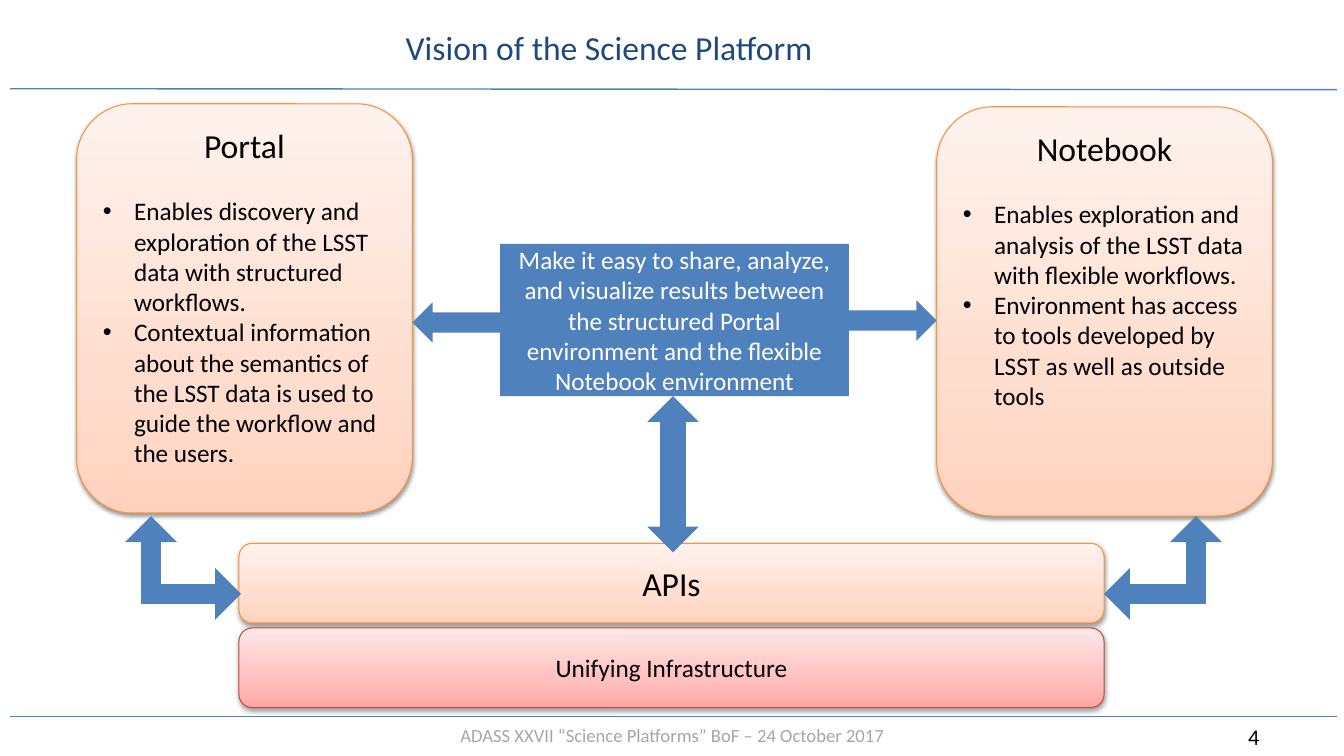
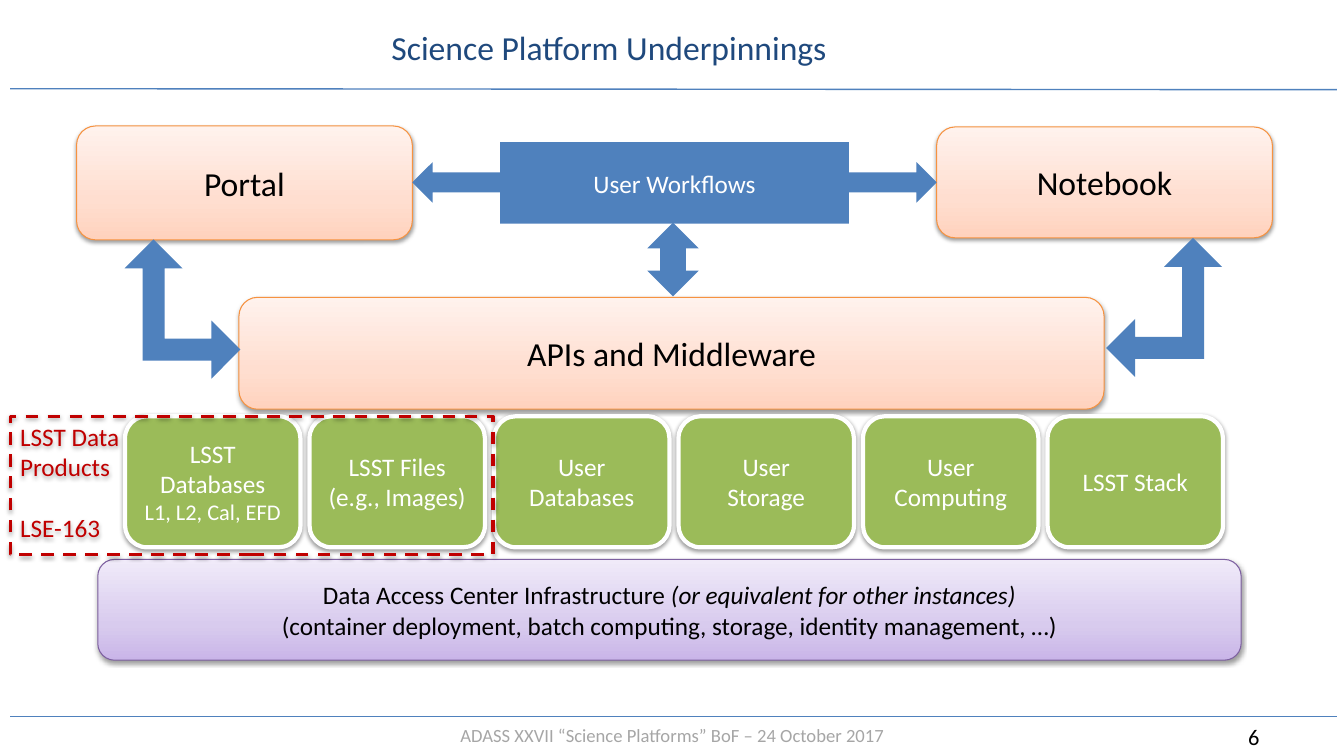
from pptx import Presentation
from pptx.dml.color import RGBColor
from pptx.enum.dml import MSO_LINE_DASH_STYLE as Dash
from pptx.enum.shapes import MSO_CONNECTOR as Connector, MSO_SHAPE as Shape
from pptx.enum.text import MSO_ANCHOR as Anchor, PP_ALIGN as Align
from pptx.oxml.ns import qn
from pptx.util import Pt
from lxml.etree import SubElement

PX = 9144
FONT = "Calibri"
COLORS = {
    "blue": "4F81BD", "navy": "1F497D", "grey": "A6A6A6",
    "black": "000000", "white": "FFFFFF", "green": "9BBB59",
    "crimson": "C00000", "orange": "F69240", "red": "BF4C48", "purple": "7D60A0",
    "orange dark": "FFD2BD", "orange mid": "FFDED0", "orange light": "FFF2ED",
    "red dark": "FFA6A5", "red mid": "FFC0BF", "red light": "FFE7E7",
    "purple dark": "C9B5E8", "purple mid": "D8CBEE", "purple light": "F0EAF9",
}
STYLES = {
    "orange": {"gradient": "orange", "line": "orange", "width": 0.75, "shadow": 38},
    "red": {"gradient": "red", "line": "red", "width": 0.75, "shadow": 38},
    "purple": {"gradient": "purple", "line": "purple", "width": 0.75, "shadow": 38},
    "green": {"fill": "green", "line": "white", "width": 3, "shadow": 38},
    "outline": {"line": "crimson", "width": 2.25, "dash": Dash.DASH, "shadow": 35},
    "blue": {"fill": "blue"},
}
HEADING = {"size": 24, "color": "black"}
BODY = {"size": 18, "color": "black"}
WHITE = {"size": 18, "color": "white"}
BULLET = {"size": 18, "color": "black", "align": Align.LEFT, "bullet": True}


def write(box, paragraphs, anchor=Anchor.MIDDLE):
    frame = box.text_frame
    frame.word_wrap = True
    frame.vertical_anchor = anchor
    for index, (text, style) in enumerate(paragraphs):
        para = frame.paragraphs[0] if index == 0 else frame.add_paragraph()
        para.alignment = style.get("align", Align.CENTER)
        para.space_before = Pt(style.get("before", 0))
        if style.get("bullet"):
            properties = para._p.get_or_add_pPr()
            properties.set("marL", str(31 * PX))
            properties.set("indent", str(-31 * PX))
            SubElement(properties, qn("a:buFont")).set("typeface", "Arial")
            SubElement(properties, qn("a:buChar")).set("char", "•")
        pieces = [(text, False)] if isinstance(text, str) else text
        for piece, italic in pieces:
            span = para.add_run()
            span.text = piece
            formats = {"name": FONT, "size": Pt(style["size"]), "italic": italic}
            for name, value in formats.items():
                setattr(span.font, name, value)
            span.font.color.rgb = RGBColor.from_string(COLORS[style["color"]])


def block(page, kind, at, look):
    style = STYLES[look]
    shape = page.shapes.add_shape(kind, *(value * PX for value in at))
    shape.shadow.inherit = False
    if "gradient" in style:
        shape.fill.gradient()
        shape.fill.gradient_angle = 90
        stops = shape._element.spPr.find(qn("a:gradFill")).find(qn("a:gsLst"))
        for stop in list(stops):
            stops.remove(stop)
        for position, tone in ((0, "dark"), (35, "mid"), (100, "light")):
            stop = SubElement(stops, qn("a:gs"), pos=str(position * 1000))
            SubElement(stop, qn("a:srgbClr"), val=COLORS[f"{style['gradient']} {tone}"])
    elif "fill" in style:
        shape.fill.solid()
        shape.fill.fore_color.rgb = RGBColor.from_string(COLORS[style["fill"]])
    else:
        shape.fill.background()
    if "line" in style:
        shape.line.color.rgb = RGBColor.from_string(COLORS[style["line"]])
        shape.line.width = Pt(style["width"])
        shape.line.dash_style = style.get("dash")
    else:
        shape.line.fill.background()
    if "shadow" in style:
        effects = shape._element.spPr.find(qn("a:effectLst"))
        shadow = SubElement(effects, qn("a:outerShdw"), blurRad="40000",
                            dist="20000", dir="5400000", rotWithShape="0")
        color = SubElement(shadow, qn("a:srgbClr"), val=COLORS["black"])
        SubElement(color, qn("a:alpha"), val=str(style["shadow"] * 1000))
    return shape


deck = Presentation()
deck.slide_width = 1333 * PX
deck.slide_height = 750 * PX

pages = []
for title, number in (("Vision of the Science Platform", "4"),
                      ("Science Platform Underpinnings", "6")):
    page = deck.slides.add_slide(deck.slide_layouts[6])
    pages.append(page)
    for start, end in ((89, 88), (711, 711)):
        rule = page.shapes.add_connector(
            Connector.STRAIGHT, 1326 * PX, start * PX, 10 * PX, end * PX)
        rule.line.color.rgb = RGBColor.from_string(COLORS["blue"])
        rule.line.width = Pt(1)
        SubElement(rule._element.spPr, qn("a:effectLst"))
    for at, text, style, anchor in (
        ((1228, 713, 83, 37), number,
         {"size": 16, "color": "black", "align": Align.LEFT}, Anchor.TOP),
        ((67, 713, 1200, 33), "ADASS XXVII “Science Platforms” BoF – 24 October 2017",
         {"size": 13.3, "color": "grey"}, Anchor.TOP),
        ((153, 16, 902, 61), title, {"size": 24, "color": "navy"}, Anchor.MIDDLE),
    ):
        box = page.shapes.add_textbox(*(value * PX for value in at))
        write(box, [(text, style)], anchor)
vision, underpinnings = pages

for at, heading, bullets in (
    ((76, 103, 333, 406), "Portal", (
        "Enables discovery and exploration of the LSST data with structured workflows.",
        "Contextual information about the semantics of the LSST data is used to "
        "guide the workflow and the users.")),
    ((929, 106, 333, 406), "Notebook", (
        "Enables exploration and analysis of the LSST data with flexible workflows.",
        "Environment has access to tools developed by LSST as well as outside tools")),
):
    card = block(vision, Shape.ROUNDED_RECTANGLE, at, "orange")
    first, second = bullets
    write(card, [(heading, HEADING), (first, {**BULLET, "before": 21.6}),
                 (second, BULLET)], Anchor.TOP)

for page, kind, at, look, text, style in (
    (vision, Shape.ROUNDED_RECTANGLE, (237, 539, 858, 79), "orange", "APIs", HEADING),
    (vision, Shape.ROUNDED_RECTANGLE, (237, 623, 858, 79), "red",
     "Unifying Infrastructure", BODY),
    (vision, Shape.RECTANGLE, (496, 242, 346, 151), "blue",
     "Make it easy to share, analyze, and visualize results between the structured "
     "Portal environment and the flexible Notebook environment", WHITE),
    (underpinnings, Shape.ROUNDED_RECTANGLE, (76, 125, 333, 113), "orange",
     "Portal", HEADING),
    (underpinnings, Shape.ROUNDED_RECTANGLE, (929, 126, 333, 110), "orange",
     "Notebook", HEADING),
    (underpinnings, Shape.ROUNDED_RECTANGLE, (237, 295, 858, 111), "orange",
     "APIs and Middleware", HEADING),
    (underpinnings, Shape.RECTANGLE, (496, 141, 346, 81), "blue",
     "User Workflows", WHITE),
):
    write(block(page, kind, at, look), [(text, style)])

for page, kind, at, turn in (
    (vision, Shape.LEFT_ARROW, (409, 300, 87, 40), 0),
    (vision, Shape.RIGHT_ARROW, (842, 298, 87, 40), 0),
    (vision, Shape.UP_DOWN_ARROW, (642, 393, 51, 155), 0),
    (vision, Shape.LEFT_UP_ARROW, (1095, 512, 117, 103), 0),
    (vision, Shape.LEFT_UP_ARROW, (130, 506, 103, 115), 90),
    (underpinnings, Shape.LEFT_ARROW, (409, 161, 87, 40), 0),
    (underpinnings, Shape.RIGHT_ARROW, (842, 161, 87, 40), 0),
    (underpinnings, Shape.UP_DOWN_ARROW, (642, 221, 51, 73), 0),
    (underpinnings, Shape.LEFT_UP_ARROW, (1097, 236, 115, 138), 0),
    (underpinnings, Shape.LEFT_UP_ARROW, (112, 249, 138, 115), 90),
):
    arrow = block(page, kind, at, "blue")
    arrow.rotation = turn
    if kind == Shape.LEFT_UP_ARROW:
        arrow.adjustments[0] = 0.19

for column, lines in enumerate((
    [("LSST", WHITE), ("Databases", WHITE), ("L1, L2, Cal, EFD", {**WHITE, "size": 16})],
    [("LSST Files", WHITE), ("(e.g., Images)", WHITE)],
    [("User Databases", WHITE)],
    [("User", WHITE), ("Storage", WHITE)],
    [("User Computing", WHITE)],
    [("LSST Stack", WHITE)],
)):
    at = (124 + column * 183, 413, 174, 130)
    write(block(underpinnings, Shape.ROUNDED_RECTANGLE, at, "green"), lines)

infrastructure = block(
    underpinnings, Shape.ROUNDED_RECTANGLE, (97, 555, 1134, 100), "purple")
write(infrastructure, [
    ([("Data Access Center Infrastructure ", False),
      ("(or equivalent for other instances)", True)], BODY),
    ("(container deployment, batch computing, storage, identity management, …)", BODY),
])

label = {"size": 18, "color": "crimson", "align": Align.LEFT}
products = block(underpinnings, Shape.RECTANGLE, (10, 413, 479, 137), "outline")
write(products, [("LSST Data", label), ("Products", label),
                 ("LSE-163", {**label, "before": 21.6})], Anchor.TOP)

deck.save("out.pptx")
